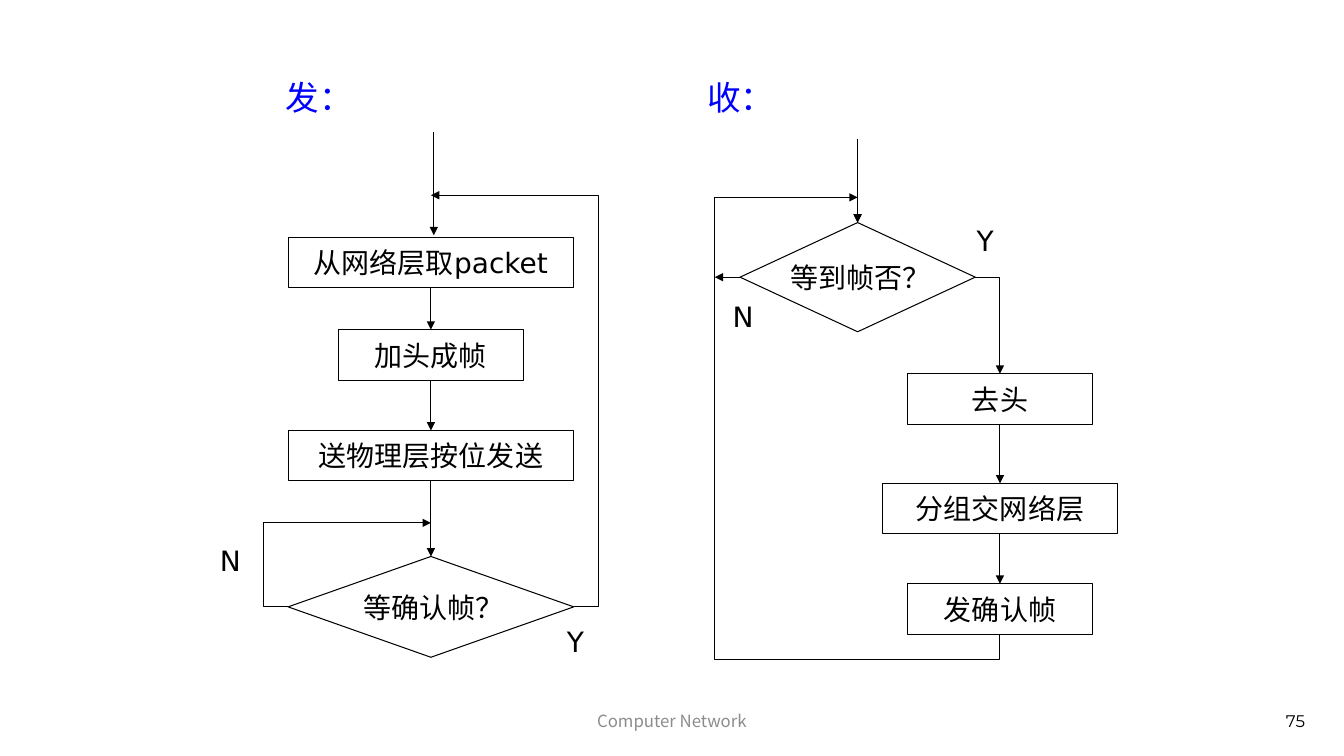
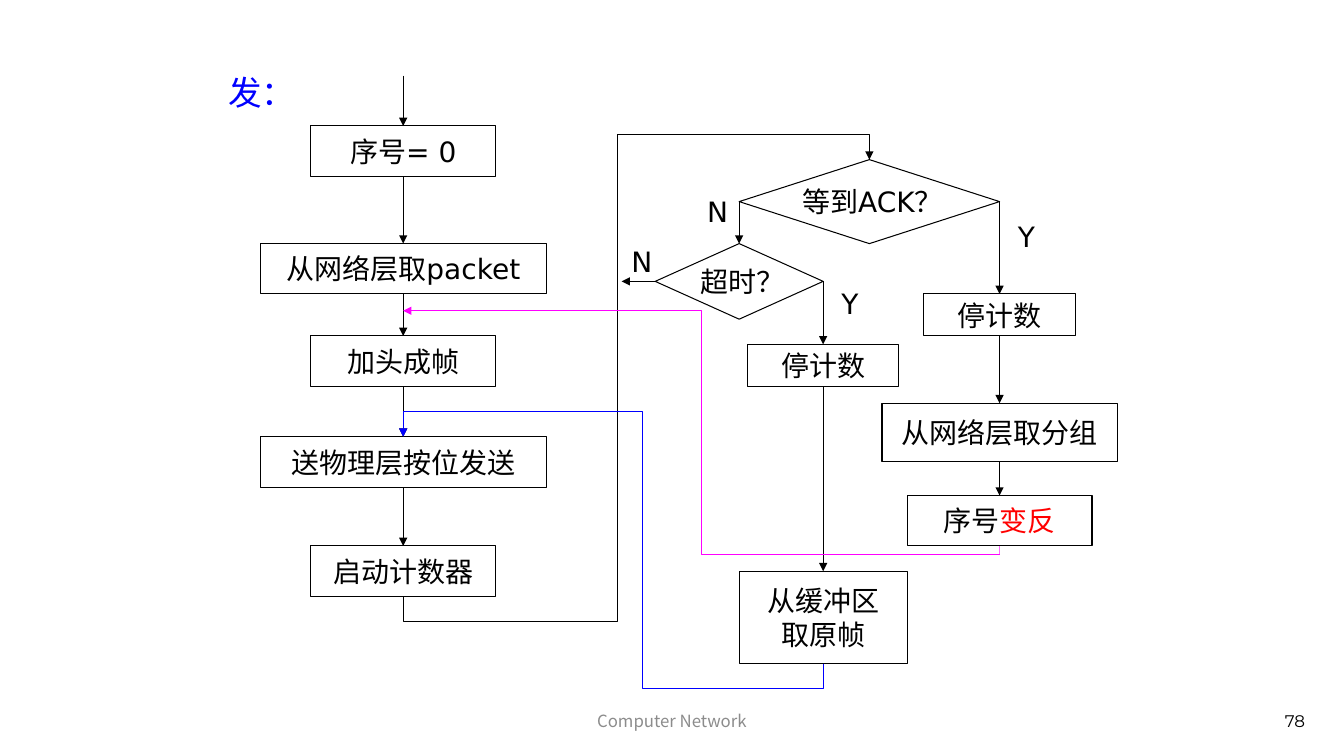
from lxml import etree
from pptx import Presentation
from pptx import util as u
from pptx.dml.color import RGBColor
from pptx.enum import shapes, text
from pptx.oxml.ns import qn

BLACK = RGBColor(0x00, 0x00, 0x00)
GRAY = RGBColor(0x8C, 0x8C, 0x8C)
BLUE = RGBColor(0x00, 0x00, 0xFF)
RED = RGBColor(0xFF, 0x00, 0x00)
MAGENTA = RGBColor(0xFF, 0x00, 0xFF)
PINK = RGBColor(0xFF, 0x66, 0xFF)

COLUMNS, ROWS = 160, 90
CELL = u.Inches(1) // 12
BLANK_LAYOUT = 6

LATIN, CHINESE, NUMERAL = "DejaVu Sans", "Noto Sans CJK SC", "Montserrat"
TOP, LEFT, BOTTOM, RIGHT = range(4)
SITES = {TOP: (0.5, 0), LEFT: (0, 0.5), BOTTOM: (0.5, 1), RIGHT: (1, 0.5)}

PROCESS = shapes.MSO_SHAPE.FLOWCHART_PROCESS
DECISION = shapes.MSO_SHAPE.FLOWCHART_DECISION
DIAMOND = shapes.MSO_SHAPE.DIAMOND


def cells(*counts):
    return [u.Emu(round(count * CELL)) for count in counts]


def is_anchored(point):
    """Tell a (shape, side) point from a (column, row) point."""
    return not isinstance(point[0], (int, float))


def locate(point):
    """Turn (column, row) or (shape, side) into a slide position."""
    if not is_anchored(point):
        return cells(*point)
    shape, side = point
    across, down = SITES[side]
    return [u.Emu(round(shape.left + across * shape.width)),
            u.Emu(round(shape.top + down * shape.height))]


class FlowDeck:
    """Holds the style and the current slide; lengths are grid cells."""

    def __init__(self):
        self.presentation = Presentation()
        self.presentation.slide_width, self.presentation.slide_height = cells(COLUMNS, ROWS)
        self.slide = None

    def new_slide(self, number):
        layout = self.presentation.slide_layouts[BLANK_LAYOUT]
        self.slide = self.presentation.slides.add_slide(layout)
        self.footer("Computer Network", 53, 54, text.PP_ALIGN.CENTER, CHINESE, GRAY)
        self.footer(str(number), 113, 43.55, text.PP_ALIGN.RIGHT, NUMERAL, BLACK)

    def add_run(self, paragraph, content, size, color, font=LATIN):
        run = paragraph.add_run()
        run.text = content
        run.font.size = u.Pt(size)
        run.font.name = font
        run.font.color.rgb = color
        east_asian = etree.SubElement(run._r.get_or_add_rPr(), qn("a:ea"))
        east_asian.set("typeface", CHINESE)

    def footer(self, content, left, width, alignment, font, color):
        box = self.slide.shapes.add_textbox(*cells(left, 83.4, width, 4.8))
        frame = box.text_frame
        frame.word_wrap = True
        frame.vertical_anchor = text.MSO_ANCHOR.MIDDLE
        paragraph = frame.paragraphs[0]
        paragraph.alignment = alignment
        self.add_run(paragraph, content, 12, color, font)

    def label(self, content, left, top, size=20, color=BLACK, width=4.6, height=5.2):
        box = self.slide.shapes.add_textbox(*cells(left, top, width, height))
        box.text_frame.word_wrap = False
        self.add_run(box.text_frame.paragraphs[0], content, size, color)

    def heading(self, content, left, top):
        self.label(content, left, top, 24, BLUE, 10.4, 6)

    def outline(self, shape, color):
        """Leave a shape unfilled, with a thin line and no shadow."""
        shape.shadow.inherit = False
        shape.fill.background()
        shape.line.color.rgb = color
        shape.line.width = u.Pt(0.75)

    def node(self, lines, center, top, width, height=6, kind=PROCESS):
        """Add a flowchart box; each line is text or a list of (text, color)."""
        shape = self.slide.shapes.add_shape(
            kind, *cells(center - width / 2, top, width, height))
        self.outline(shape, BLACK)
        frame = shape.text_frame
        frame.word_wrap = False
        frame.vertical_anchor = text.MSO_ANCHOR.MIDDLE
        if kind != PROCESS:
            frame.margin_left = u.Inches(0.16)
        for index, line in enumerate([lines] if isinstance(lines, str) else lines):
            paragraph = frame.add_paragraph() if index else frame.paragraphs[0]
            paragraph.alignment = text.PP_ALIGN.CENTER
            pieces = [(line, BLACK)] if isinstance(line, str) else line
            for content, color in pieces:
                self.add_run(paragraph, content, 20, color)
        return shape

    def link(self, start, end, color=BLACK, arrow=True):
        """Draw a straight connector, joined to the shapes it touches."""
        connector = self.slide.shapes.add_connector(
            shapes.MSO_CONNECTOR.STRAIGHT, *locate(start), *locate(end))
        connector.line.color.rgb = color
        connector.line.width = u.Pt(0.75)
        etree.SubElement(connector._element.spPr, qn("a:effectLst"))
        if is_anchored(start):
            connector.begin_connect(*start)
        if is_anchored(end):
            connector.end_connect(*end)
        if arrow:
            self.add_arrowhead(connector)

    def route(self, *points, color=BLACK):
        """Draw one bent line through all points, with an arrowhead."""
        start, *corners = [locate(point) for point in points]
        builder = self.slide.shapes.build_freeform(*start)
        builder.add_line_segments(corners, close=False)
        shape = builder.convert_to_shape()
        self.outline(shape, color)
        self.add_arrowhead(shape)

    def add_arrowhead(self, shape):
        arrow = etree.SubElement(shape.line._get_or_add_ln(), qn("a:tailEnd"))
        arrow.set("type", "triangle")

    def chain(self, *nodes):
        for upper, lower in zip(nodes, nodes[1:]):
            self.link((upper, BOTTOM), (lower, TOP))


def sender_and_receiver(deck):
    deck.new_slide(75)
    deck.heading("发：", 32.8, 8.55)
    deck.heading("收：", 83, 8.55)

    sender = 51.3
    fetch = deck.node("从网络层取packet", sender, 28.25, 34)
    frame = deck.node("加头成帧", sender, 39.25, 22)
    send = deck.node("送物理层按位发送", sender, 51.25, 34)
    confirm = deck.node("等确认帧？", sender, 66.25, 34, 12, DIAMOND)
    deck.link((51.65, 15.7), (51.65, 28))
    deck.chain(fetch, frame, send, confirm)
    deck.route((confirm, LEFT), (31.35, 72.25), (31.35, 62.25), (sender, 62.25))
    deck.route((confirm, RIGHT), (71.3, 72.25), (71.3, 23.25), (sender, 23.25))
    deck.label("N", 25, 64.1)
    deck.label("Y", 66.3, 73.8)

    receiver, handling, loop = 102.1, 119.05, 85.1
    arrived = deck.node("等到帧否？", receiver, 26.5, 28, 13, DECISION)
    strip = deck.node("去头", handling, 44.5, 22)
    deliver = deck.node("分组交网络层", handling, 57.55, 28)
    reply = deck.node("发确认帧", handling, 69.5, 22)
    deck.link((receiver, 16.5), (arrived, TOP))
    deck.route((arrived, RIGHT), (handling, 33), (strip, TOP))
    deck.chain(strip, deliver, reply)
    deck.route((reply, BOTTOM), (handling, 78.5), (loop, 78.5),
               (loop, 23.5), (receiver, 23.5), (arrived, TOP))
    deck.link((94.4, 23.5), (receiver, 23.5))
    deck.link((arrived, LEFT), (loop, 33))
    deck.label("Y", 115.1, 26)
    deck.label("N", 86.05, 35.05)


def numbered_sender(deck):
    deck.new_slide(78)
    deck.heading("发：", 26, 8)

    sender, resend, success = 48, 98, 119
    reset = deck.node("序号= 0", sender, 15, 22)
    fetch = deck.node("从网络层取packet", sender, 29, 34)
    frame = deck.node("加头成帧", sender, 40, 22)
    send = deck.node("送物理层按位发送", sender, 52, 34)
    timer = deck.node("启动计数器", sender, 65, 22)
    deck.link((sender, 9), (reset, TOP))
    deck.chain(reset, fetch, frame, send, timer)

    acknowledged = deck.node("等到ACK？", 103.5, 19, 31, 10, DIAMOND)
    expired = deck.node("超时？", 88, 29, 20, 9, DIAMOND)
    deck.route((timer, BOTTOM), (sender, 74), (73.5, 74), (73.5, 16),
               (103.5, 16), (acknowledged, TOP))
    deck.link((acknowledged, LEFT), (expired, TOP))
    deck.link((expired, LEFT), (74, 33.5))

    stop = deck.node("停计数", success, 35, 18, 5)
    following = deck.node("从网络层取分组", success, 48, 28, 7)
    invert = deck.node([[("序号", BLACK), ("变反", RED)]], success, 59, 22)
    deck.link((acknowledged, RIGHT), (stop, TOP))
    deck.chain(stop, following, invert)

    stop_resend = deck.node("停计数", resend, 41, 18, 5)
    buffered = deck.node(["从缓冲区", "取原帧"], resend, 68, 20, 11)
    deck.link((expired, RIGHT), (stop_resend, TOP))
    deck.chain(stop_resend, buffered)

    deck.route((buffered, BOTTOM), (resend, 82), (76.5, 82), (76.5, 49),
               (sender, 49), (send, TOP), color=BLUE)
    deck.route((success, 66), (83.5, 66), (83.5, 37), (sender, 37), color=MAGENTA)
    deck.link((success, 66), (invert, BOTTOM), PINK, arrow=False)
    for content, left, top in [("N", 83, 22.6), ("Y", 120, 25.5),
                               ("N", 74, 28.55), ("Y", 99, 33.55)]:
        deck.label(content, left, top)


def main():
    deck = FlowDeck()
    sender_and_receiver(deck)
    numbered_sender(deck)
    deck.presentation.save("out.pptx")


if __name__ == "__main__":
    main()
